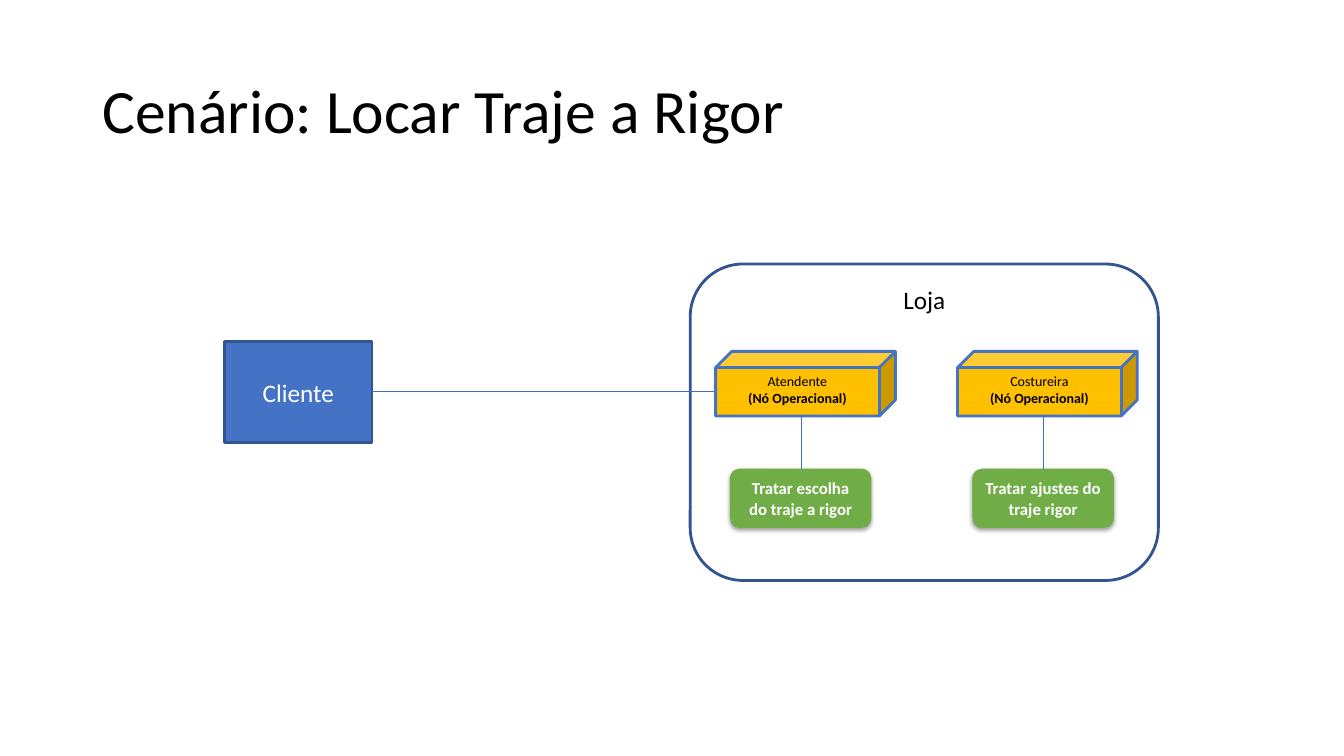
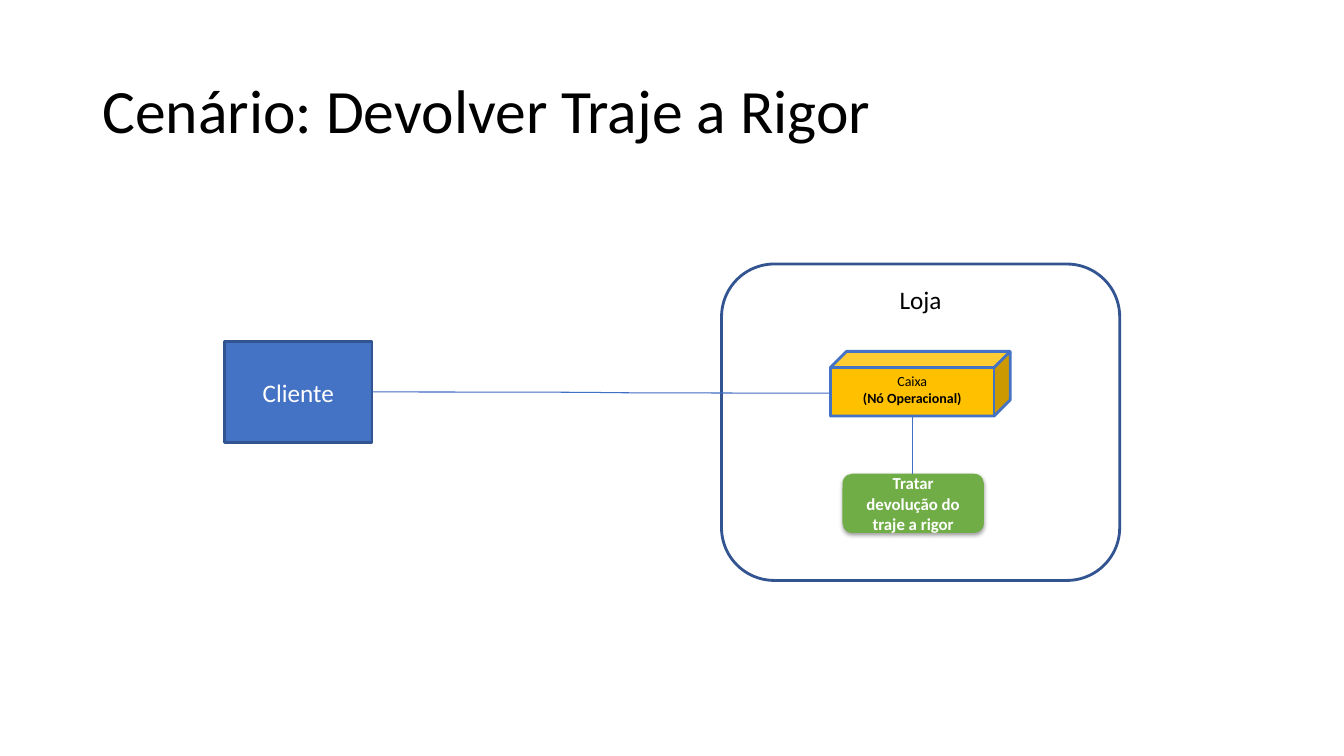
import pptx
import pptx.util
import pptx.dml.color
import pptx.enum.shapes
import pptx.enum.text
import pptx.oxml
import pptx.oxml.ns
import lxml.etree

Pt = pptx.util.Pt
RGB = pptx.dml.color.RGBColor.from_string
SHAPE = pptx.enum.shapes.MSO_SHAPE
CONNECTOR = pptx.enum.shapes.MSO_CONNECTOR
ANCHOR = pptx.enum.text.MSO_ANCHOR
ALIGN = pptx.enum.text.PP_ALIGN

# Shared look
COLORS = {"black": "000000", "white": "FFFFFF", "blue": "4472C4",
          "navy": "325491", "link": "3F6EC2", "gold": "FFC000", "green": "70AD47"}
FONT = "Calibri"
TASK_SHADOW = (
    f'<a:effectLst {pptx.oxml.ns.nsdecls("a")}>'
    f'<a:outerShdw blurRad="{Pt(3.15)}" dist="{Pt(1.57)}" dir="5400000" rotWithShape="0">'
    f'<a:srgbClr val="{COLORS["black"]}"><a:alpha val="38000"/></a:srgbClr>'
    '</a:outerShdw></a:effectLst>')
STYLES = {
    "client": dict(kind=SHAPE.RECTANGLE, fill="blue", line="navy", anchor=ANCHOR.MIDDLE,
                   font=dict(size=Pt(18), bold=False), color="white"),
    "store": dict(kind=SHAPE.ROUNDED_RECTANGLE, fill=None, line="navy", anchor=ANCHOR.TOP,
                  font=dict(size=Pt(18), bold=False), color="black"),
    "node": dict(kind=SHAPE.CUBE, fill="gold", line="blue", anchor=ANCHOR.TOP,
                 font=dict(size=Pt(10), bold=False), color="black"),
    "task": dict(kind=SHAPE.ROUNDED_RECTANGLE, fill="green", line=None, anchor=ANCHOR.MIDDLE,
                 font=dict(size=Pt(12), bold=True), color="white"),
}

# Shared geometry
CLIENT = (160.5, 244, 105.2, 72)
NODE_TOP, NODE_W, NODE_H = 251, 128.4, 46.2
TASK_W, TASK_H = 101, 42.3
STORE_TOP, STORE_H = 188.6, 226

SLIDES = [
    dict(title="Cenário: Locar Traje a Rigor", store=(493, 334.4), task_top=334.8, link_end=280,
         nodes=[("Atendente", 511.2, "Tratar escolha do traje a rigor", 521.4, 572.4),
                ("Costureira", 684, "Tratar ajustes do traje rigor", 694.6, 745.2)]),
    dict(title="Cenário: Devolver Traje a Rigor", store=(515.4, 284.4), task_top=338.4, link_end=280.8,
         nodes=[("Caixa", 593.2, "Tratar devolução do traje a rigor", 601.8, 652)]),
]


def add_box(s, style, box, lines):
    look = STYLES[style]
    sp = s.shapes.add_shape(look["kind"], *map(Pt, box))
    sp.shadow.inherit = False
    for part, color in ((sp.fill, look["fill"]), (sp.line.fill, look["line"])):
        if color:
            part.solid()
            part.fore_color.rgb = RGB(COLORS[color])
        else:
            part.background()
    if look["line"]:
        sp.line.width = Pt(2)
    tf = sp.text_frame
    tf.word_wrap = True
    tf.vertical_anchor = look["anchor"]
    for i, text in enumerate(lines):
        p = tf.add_paragraph() if i else tf.paragraphs[0]
        p.alignment = ALIGN.CENTER
        r = p.add_run()
        r.text = text
        for name, value in look["font"].items():
            setattr(r.font, name, value)
        r.font.name = FONT
        r.font.color.rgb = RGB(COLORS[look["color"]])
    return sp


def add_link(s, kind, *ends):
    cx = s.shapes.add_connector(kind, *map(Pt, ends))
    cx.line.color.rgb = RGB(COLORS["link"])
    cx.line.width = Pt(0.75)
    lxml.etree.SubElement(cx._element.spPr, pptx.oxml.ns.qn("a:effectLst"))


prs = pptx.Presentation()
prs.slide_width, prs.slide_height = Pt(960), Pt(540)

for data in SLIDES:
    s = prs.slides.add_slide(prs.slide_layouts[5])

    # Title
    title = s.shapes.title
    for name, value in dict(left=66, top=28.8, width=828, height=104.4).items():
        setattr(title, name, Pt(value))
    tf = title.text_frame
    tf.text = data["title"]
    tf.auto_size = pptx.enum.text.MSO_AUTO_SIZE.NONE
    tf.vertical_anchor = ANCHOR.MIDDLE
    p = tf.paragraphs[0]
    p.alignment, p.line_spacing = ALIGN.LEFT, 0.9
    for name, value in dict(name=FONT, size=Pt(44)).items():
        setattr(p.runs[0].font, name, value)
    p.runs[0].font.color.rgb = RGB(COLORS["black"])

    # Store frame and client
    left, width = data["store"]
    add_box(s, "store", (left, STORE_TOP, width, STORE_H), ["Loja"])
    add_box(s, "client", CLIENT, ["Cliente"])
    add_link(s, CONNECTOR.CURVE, CLIENT[0] + CLIENT[2], CLIENT[1] + CLIENT[3] / 2,
             data["nodes"][0][1], data["link_end"])

    # Operational nodes, each with its task below
    for role, node_left, task, task_left, link_x in data["nodes"]:
        add_box(s, "node", (node_left, NODE_TOP, NODE_W, NODE_H),
                [role, "(Nó Operacional)"]).text_frame.paragraphs[1].runs[0].font.bold = True
        sp = add_box(s, "task", (task_left, data["task_top"], TASK_W, TASK_H), [task])
        spPr = sp._element.spPr
        spPr.replace(spPr.find(pptx.oxml.ns.qn("a:effectLst")), pptx.oxml.parse_xml(TASK_SHADOW))
        add_link(s, CONNECTOR.STRAIGHT, link_x, NODE_TOP + NODE_H, link_x, data["task_top"])

prs.save("out.pptx")
